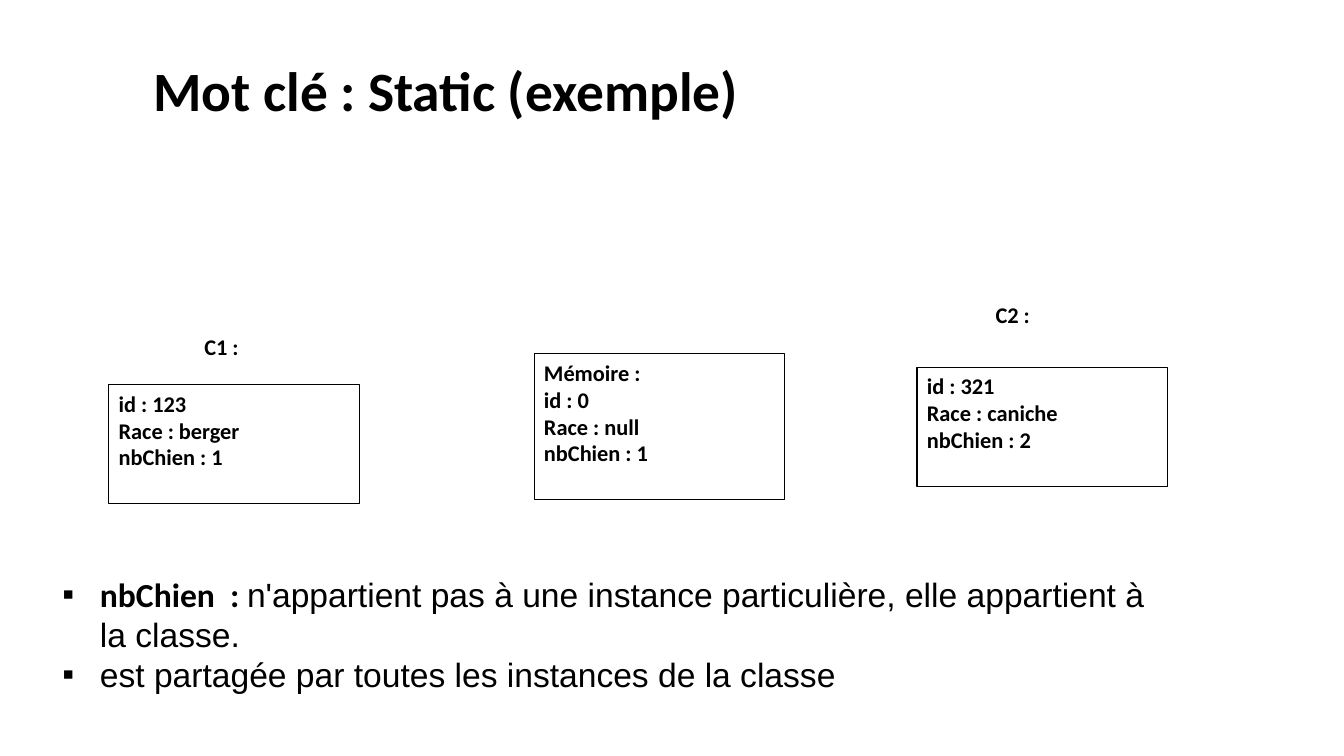
"""Build the slide on the static keyword, with its class memory and two instances."""
from dataclasses import dataclass

import lxml.etree
import pptx
import pptx.dml.color
import pptx.enum.shapes
import pptx.enum.text
import pptx.oxml.ns
import pptx.util

Cm = pptx.util.Cm
COLORS = {"ink": "000000", "paper": "FFFFFF"}
HEADING_FONT, BODY_FONT = "Calibri", "Arial"
BOX_WIDTH = 6.32
BULLET_INDENT = 0.95


@dataclass(frozen=True)
class Span:
    """A stretch of text in one style."""
    text: str
    size: float = 16
    font: str = HEADING_FONT
    bold: bool = True


@dataclass(frozen=True)
class Block:
    """A placed block of lines, outlined or plain."""
    left: float
    top: float
    width: float
    height: float
    lines: tuple[tuple[Span, ...], ...]
    outlined: bool = False
    bulleted: bool = False


def plain_lines(*texts: str) -> tuple[tuple[Span, ...], ...]:
    """Give each text a line of its own."""
    return tuple((Span(text),) for text in texts)


def body(text: str) -> Span:
    """Return a regular span of the explanation."""
    return Span(text, 24, BODY_FONT, False)


BLOCKS = (
    Block(4.9, 8.26, 1.88, 0.94, plain_lines("C1 :")),
    Block(24.84, 7.47, 1.88, 0.94, plain_lines("C2 :")),
    Block(2.74, 9.7, BOX_WIDTH, 3,
          plain_lines("id : 123", "Race : berger", "nbChien : 1"), outlined=True),
    Block(23.11, 9.25, BOX_WIDTH, 3,
          plain_lines("id : 321", "Race : caniche", "nbChien : 2"), outlined=True),
    Block(13.46, 8.92, BOX_WIDTH, 3.68,
          plain_lines("Mémoire :", "id : 0", "Race : null", "nbChien : 1"), outlined=True),
    Block(1.32, 14.33, 28.55, 3.33, (
        (Span("nbChien  : ", 24),
         body("n'appartient pas à une instance particulière, elle appartient à la classe.")),
        (body("est partagée par toutes les instances de la classe"),),
    ), bulleted=True),
)


def color(name: str) -> pptx.dml.color.RGBColor:
    """Look up a named colour."""
    return pptx.dml.color.RGBColor.from_string(COLORS[name])


def add_bullet(paragraph) -> None:
    """Give the paragraph a hanging square bullet."""
    qn = pptx.oxml.ns.qn
    properties = paragraph._p.get_or_add_pPr()
    properties.set("marL", str(Cm(BULLET_INDENT)))
    properties.set("indent", str(-Cm(BULLET_INDENT)))
    tint = lxml.etree.SubElement(properties, qn("a:buClr"))
    lxml.etree.SubElement(tint, qn("a:srgbClr"), val=COLORS["ink"])
    lxml.etree.SubElement(properties, qn("a:buFont"), typeface=BODY_FONT)
    lxml.etree.SubElement(properties, qn("a:buChar"), char="▪")


def write_lines(frame, lines: tuple[tuple[Span, ...], ...], bulleted: bool = False) -> None:
    """Write left-aligned lines from the top of a text frame."""
    frame.word_wrap = True
    frame.auto_size = pptx.enum.text.MSO_AUTO_SIZE.NONE
    frame.vertical_anchor = pptx.enum.text.MSO_ANCHOR.TOP
    for index, line in enumerate(lines):
        paragraph = frame.add_paragraph() if index else frame.paragraphs[0]
        paragraph.alignment = pptx.enum.text.PP_ALIGN.LEFT
        if bulleted:
            add_bullet(paragraph)
        for span in line:
            run = paragraph.add_run()
            run.text = span.text
            run.font.name = span.font
            run.font.size = pptx.util.Pt(span.size)
            run.font.bold = span.bold
            run.font.color.rgb = color("ink")


def draw_block(slide, block: Block) -> None:
    """Draw a block as a text box or an outlined rectangle."""
    bounds = [Cm(length) for length in (block.left, block.top, block.width, block.height)]
    if block.outlined:
        holder = slide.shapes.add_shape(pptx.enum.shapes.MSO_SHAPE.RECTANGLE, *bounds)
        holder.shadow.inherit = False
        holder.fill.background()
        holder.line.color.rgb = color("ink")
        holder.line.width = pptx.util.Pt(0.75)
    else:
        holder = slide.shapes.add_textbox(*bounds)
    write_lines(holder.text_frame, block.lines, block.bulleted)


def draw_title(slide) -> None:
    """Place and format the slide title."""
    title = slide.shapes.title
    title.left, title.top = Cm(3.61), Cm(1.6)
    title.width, title.height = Cm(27.94), Cm(3.1)
    title.text_frame.margin_top = 0
    write_lines(title.text_frame, ((Span("Mot clé : Static (exemple)", 39.6),),))
    title.text_frame.paragraphs[0].line_spacing = 0.9


def main() -> None:
    """Build and save the presentation."""
    deck = pptx.Presentation()
    deck.slide_width, deck.slide_height = Cm(33.87), Cm(19.05)
    slide = deck.slides.add_slide(deck.slide_layouts.get_by_name("Title Only"))
    slide.background.fill.solid()
    slide.background.fill.fore_color.rgb = color("paper")
    draw_title(slide)
    for block in BLOCKS:
        draw_block(slide, block)
    deck.save("out.pptx")


if __name__ == "__main__":
    main()
